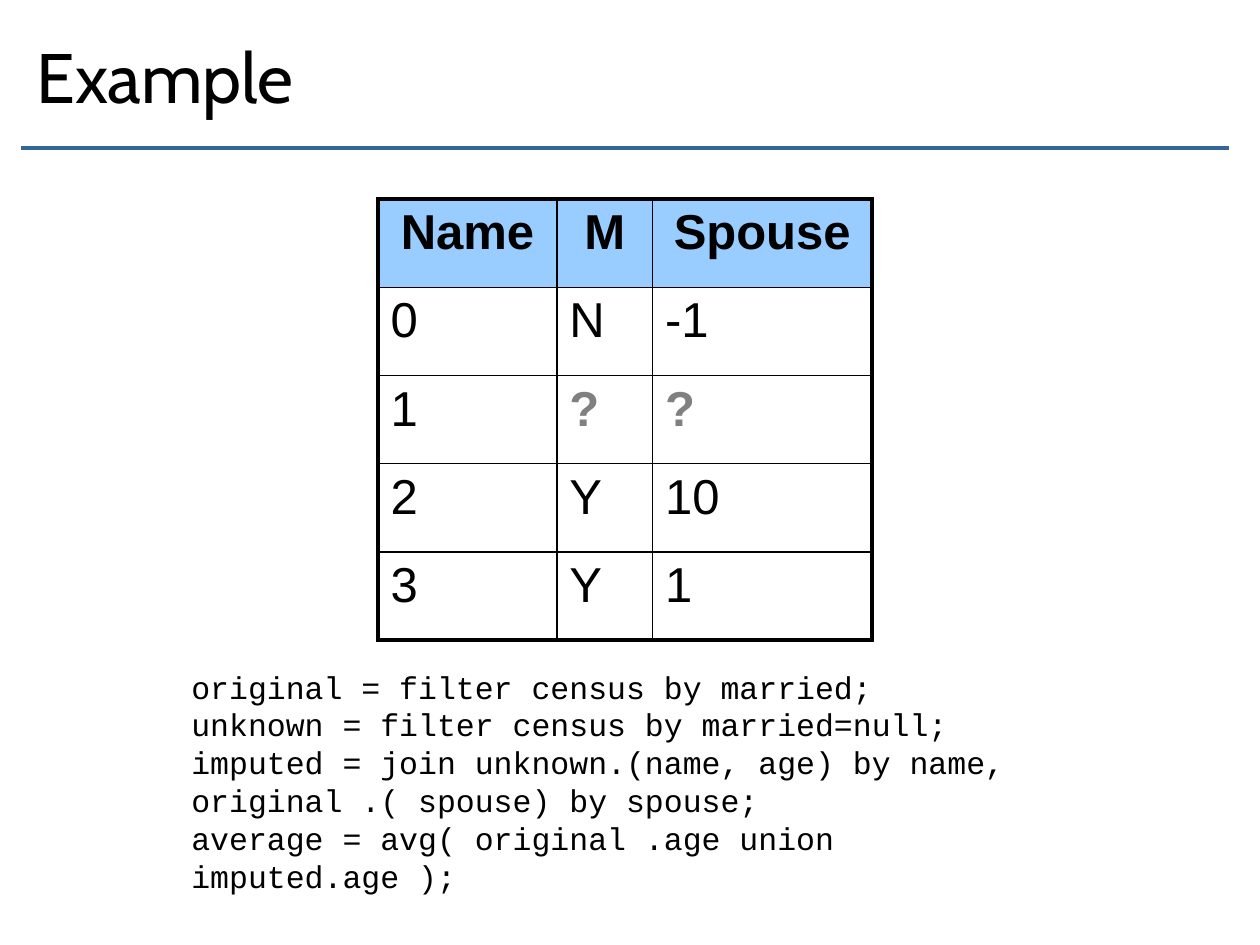
from lxml import etree
from pptx import Presentation
from pptx.dml.color import RGBColor
from pptx.enum.shapes import MSO_CONNECTOR
from pptx.enum.text import MSO_ANCHOR, PP_ALIGN
from pptx.oxml.ns import qn
from pptx.util import Pt

STRAIGHT = MSO_CONNECTOR.STRAIGHT
TOP, MIDDLE = MSO_ANCHOR.TOP, MSO_ANCHOR.MIDDLE
LEFT, CENTER = PP_ALIGN.LEFT, PP_ALIGN.CENTER

BLACK = RGBColor(0x00, 0x00, 0x00)
GRAY = RGBColor(0x80, 0x80, 0x80)
RULE_BLUE = RGBColor(0x33, 0x66, 0x99)
HEADER_BLUE = RGBColor(0x99, 0xCC, 0xFF)

THIN, THICK = Pt(1), Pt(2.25)


def write_text(text_frame, text, font, size, color=BLACK, bold=False,
               align=LEFT, anchor=TOP):
    """Fill a text frame, one paragraph for each line of the text."""
    text_frame.word_wrap = True
    text_frame.vertical_anchor = anchor
    text_frame.text = text
    for paragraph in text_frame.paragraphs:
        paragraph.alignment = align
        paragraph.font.name = font
        paragraph.font.size = Pt(size)
        paragraph.font.bold = bold
        paragraph.font.color.rgb = color


def set_borders(cell, widths):
    """Draw black cell borders; widths are for left, right, top and bottom."""
    properties = cell._tc.get_or_add_tcPr()
    for position, (side, width) in enumerate(zip("LRTB", widths)):
        line = etree.Element(qn(f"a:ln{side}"), w=str(width))
        fill = etree.SubElement(line, qn("a:solidFill"))
        etree.SubElement(fill, qn("a:srgbClr"), val=str(BLACK))
        properties.insert(position, line)


presentation = Presentation()
presentation.slide_width = Pt(720)
presentation.slide_height = Pt(540)
slide = presentation.slides.add_slide(presentation.slide_layouts[6])

# Title and the rule below it
title_rule = slide.shapes.add_connector(STRAIGHT, Pt(12.24), Pt(84.5), Pt(702), Pt(84.5))
title_rule.line.color.rgb = RULE_BLUE
title_rule.line.width = Pt(2)
etree.SubElement(title_rule._element.spPr, qn("a:effectLst"))

title = slide.shapes.add_textbox(Pt(13.68), Pt(0), Pt(648), Pt(86.4))
write_text(title.text_frame, "Example", "Cabin", 40, anchor=MIDDLE)

# Census table
census = [
    ["Name", "M", "Spouse"],
    ["0", "N", "-1"],
    ["1", "?", "?"],
    ["2", "Y", "10"],
    ["3", "Y", "1"],
]
column_widths = [102.24, 54.72, 125.28]
row_height = 50.4
last_row, last_column = len(census) - 1, len(column_widths) - 1

table = slide.shapes.add_table(
    len(census), len(column_widths), Pt(216), Pt(113.76),
    Pt(sum(column_widths)), Pt(row_height * len(census))).table
table.first_row = table.horz_banding = False
for column, width in zip(table.columns, column_widths):
    column.width = Pt(width)

for row_index, values in enumerate(census):
    table.rows[row_index].height = Pt(row_height)
    is_header = row_index == 0
    for column_index, value in enumerate(values):
        cell = table.cell(row_index, column_index)
        is_unknown = value == "?"
        write_text(cell.text_frame, value, "Arial", 28,
                   color=GRAY if is_unknown else BLACK,
                   bold=is_header or is_unknown,
                   align=CENTER if is_header else LEFT)
        if is_header:
            cell.fill.solid()
            cell.fill.fore_color.rgb = HEADER_BLUE
        else:
            cell.fill.background()
        on_edge = [column_index == 0, column_index == last_column,
                   is_header, row_index == last_row]
        set_borders(cell, [THICK if outer else THIN for outer in on_edge])

# Query
query = """original = filter census by married;
unknown = filter census by married=null;
imputed = join unknown.(name, age) by name,
original .( spouse) by spouse;
average = avg( original .age union imputed.age );"""
query_box = slide.shapes.add_textbox(Pt(102.24), Pt(378), Pt(503.28), Pt(130))
write_text(query_box.text_frame, query, "Courier New", 18)

presentation.save("out.pptx")
